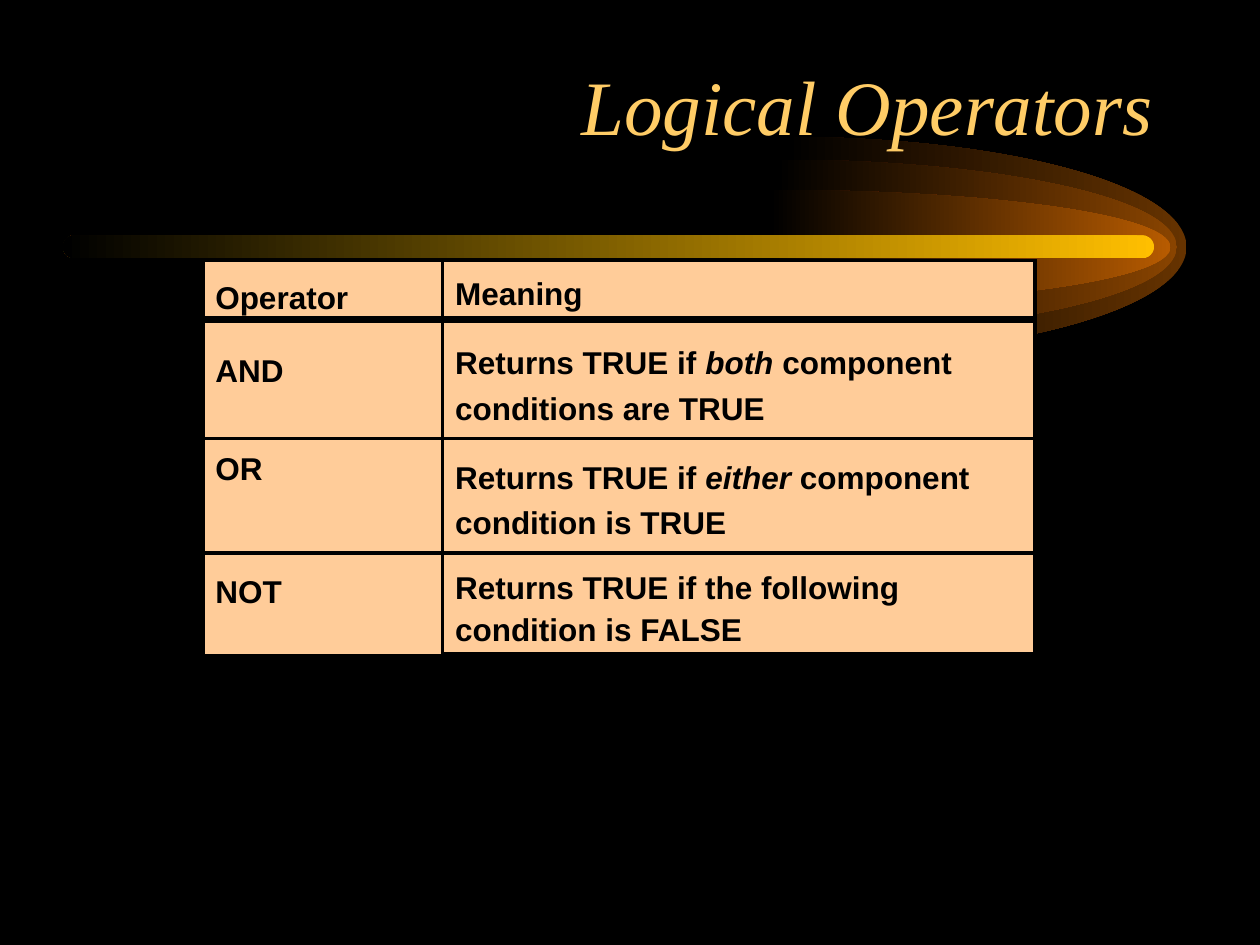
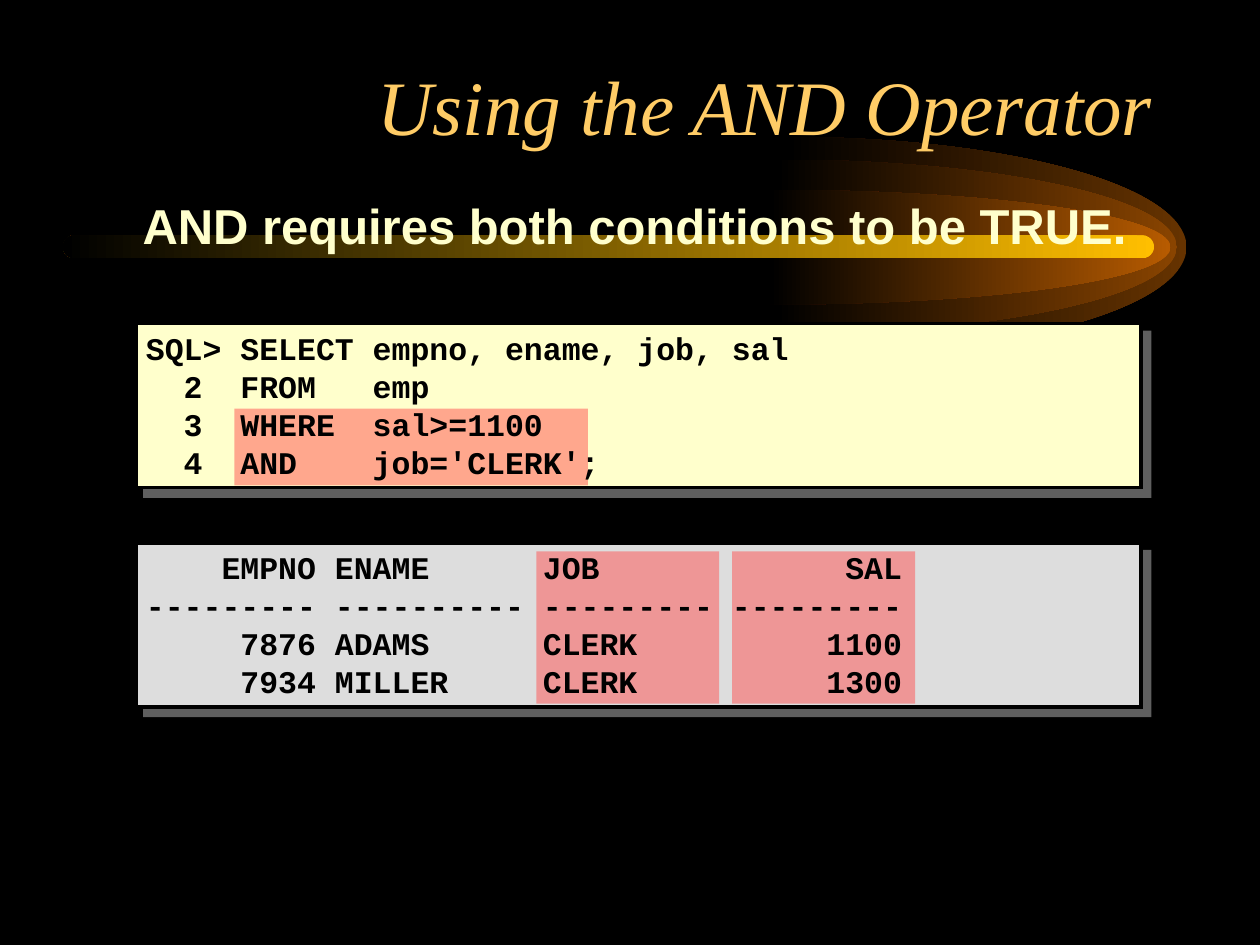
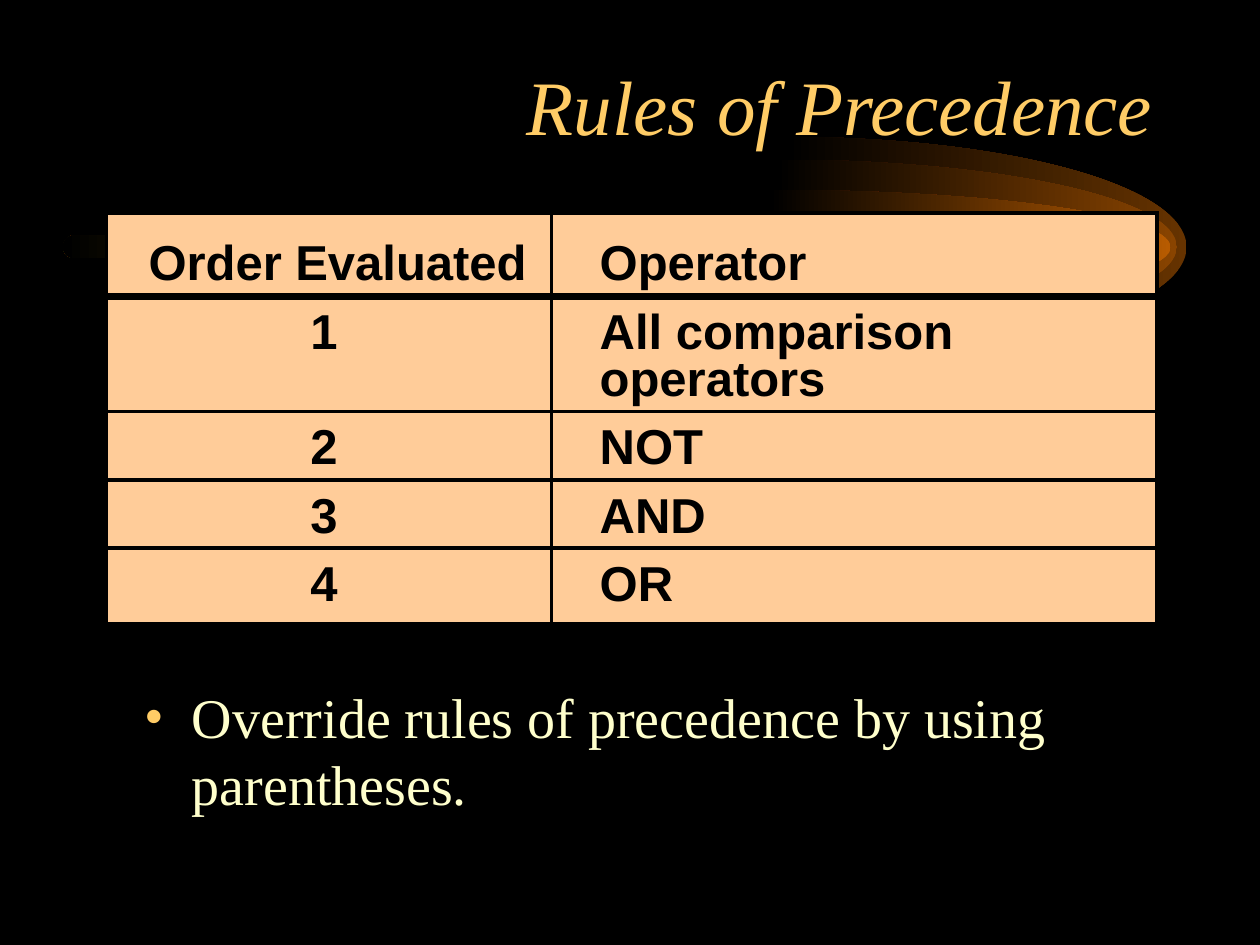
from lxml.etree import SubElement
from pptx import Presentation
from pptx.dml.color import RGBColor
from pptx.enum.shapes import MSO_CONNECTOR, MSO_SHAPE
from pptx.enum.text import MSO_ANCHOR, PP_ALIGN
from pptx.oxml.ns import qn
from pptx.util import Pt

BLACK, GOLD, CREAM, PEACH = "000000", "FFCC66", "FFFFCC", "FFCC99"
SERIF, SANS, MONO = "Times New Roman", "Arial", "Courier New"
GLOWS = [
    (449, 78.2, 229, 126, "663300"),
    (443.5, 91.2, 229, 99.8, "894400"),
    (440, 108.5, 229, 65.5, "B75B00"),
]
OPERATORS = "Operator\nAND\nOR\nNOT"
MEANINGS = """Meaning
Returns TRUE if *both *component conditions are TRUE
Returns TRUE if *either *component condition is TRUE
Returns TRUE if the following condition is FALSE"""
QUERY = """SQL> SELECT empno, ename, job, sal
  2  FROM   emp
  3  WHERE  sal>=1100
  4  AND    job='CLERK';"""
RESULT = """    EMPNO ENAME      JOB             SAL
--------- ---------- --------- ---------
     7876 ADAMS      CLERK          1100
     7934 MILLER     CLERK          1300"""
PRECEDENCE = """Order Evaluated\tOperator
\t1\tAll comparison|\t\toperators
\t2\tNOT
\t3\tAND
\t4\tOR"""


def rgb(value):
    return RGBColor.from_string(value)


def add_xml(parent, tag, **attrs):
    return SubElement(parent, qn(tag), {k: str(v) for k, v in attrs.items()})


def add_bullet(p, char, font, indent):
    pPr = p._p.get_or_add_pPr()
    pPr.set("marL", str(Pt(indent)))
    pPr.set("indent", str(-Pt(indent)))
    add_xml(add_xml(pPr, "a:buClr"), "a:srgbClr", val=GOLD)
    add_xml(pPr, "a:buFont", typeface=font)
    add_xml(pPr, "a:buChar", char=char)


def add_tabs(p, tabs):
    tab_list = add_xml(p._p.get_or_add_pPr(), "a:tabLst")
    for pos, align in tabs:
        add_xml(tab_list, "a:tab", pos=Pt(pos), algn=align)


def write(tf, text, size=18, font=SANS, color=BLACK, bold=False, italic=False,
          align=PP_ALIGN.LEFT, spacings=(1,), gaps=(0,), bullet=None, tabs=()):
    """One paragraph per line; | breaks a line, asterisks enclose italics.

    The last entry of spacings and gaps holds for all further paragraphs.
    """
    tf.word_wrap = True
    for i, line in enumerate(text.split("\n")):
        p = tf.paragraphs[0] if i == 0 else tf.add_paragraph()
        if bullet:
            add_bullet(p, bullet, font, 27)
        if tabs:
            add_tabs(p, tabs)
        p.alignment = align
        p.line_spacing = spacings[min(i, len(spacings) - 1)]
        p.space_before = Pt(gaps[min(i, len(gaps) - 1)])
        for k, row in enumerate(line.split("|")):
            if k:
                p.add_line_break()
            for j, part in enumerate(row.split("*")):
                r = p.add_run()
                r.text = part
                r.font.size, r.font.name = Pt(size), font
                r.font.bold, r.font.italic = bold, italic or j % 2 == 1
                r.font.color.rgb = rgb(color)


def add_text(s, box, text, anchor=MSO_ANCHOR.TOP, **style):
    tf = s.shapes.add_textbox(*map(Pt, box)).text_frame
    tf.vertical_anchor = anchor
    write(tf, text, **style)


def fade(sp, color):
    sp.shadow.inherit = False
    sp.line.fill.background()
    sp.fill.gradient()
    sp.fill.gradient_angle = 180
    for stop, value in zip(sp.fill.gradient_stops, (color, BLACK)):
        stop.color.rgb = rgb(value)


def add_glow(s, x, y, w, h, color):
    fb = s.shapes.build_freeform(Pt(x), Pt(y))
    fb.add_line_segments([(Pt(x + w), Pt(y + h / 2)), (Pt(x), Pt(y + h))], close=True)
    sp = fb.convert_to_shape()
    handles = [((0.55, 0), (1, 0.22)), ((1, 0.78), (0.55, 1))]
    for curve, pair in zip(list(sp._element.iter(qn("a:lnTo"))), handles):
        curve.tag = qn("a:cubicBezTo")
        end = curve[0]
        for dx, dy in pair:
            end.addprevious(add_xml(curve, "a:pt", x=Pt(w * dx), y=Pt(h * dy)))
    fade(sp, color)


def add_base(prs, title):
    s = prs.slides.add_slide(prs.slide_layouts[6])
    s.background.fill.solid()
    s.background.fill.fore_color.rgb = rgb(BLACK)
    for glow in GLOWS:
        add_glow(s, *glow)
    bar = s.shapes.add_shape(MSO_SHAPE.ROUNDED_RECTANGLE, Pt(36), Pt(134.5), Pt(623.5), Pt(13))
    bar.adjustments[0] = 0.5
    fade(bar, "FFBF00")
    add_text(s, (54, 30, 612, 90), title, size=44, font=SERIF, color=GOLD,
             italic=True, align=PP_ALIGN.RIGHT)
    return s


def add_rect(s, box, color, outlined=True):
    sp = s.shapes.add_shape(MSO_SHAPE.RECTANGLE, *map(Pt, box))
    sp.shadow.inherit = False
    sp.fill.solid()
    sp.fill.fore_color.rgb = rgb(color)
    if outlined:
        sp.line.color.rgb = rgb(BLACK)
        sp.line.width = Pt(2)
        add_xml(sp._element.spPr.find(qn("a:ln")), "a:miter", lim=800000)
    else:
        sp.line.fill.background()
    return sp


def add_column(s, box, text, **style):
    tf = add_rect(s, box, PEACH).text_frame
    tf.vertical_anchor = MSO_ANCHOR.TOP
    write(tf, text, bold=True, **style)


def add_line(s, x1, y1, x2, y2, width=2):
    line = s.shapes.add_connector(MSO_CONNECTOR.STRAIGHT, *map(Pt, (x1, y1, x2, y2)))
    line.line.color.rgb = rgb(BLACK)
    line.line.width = Pt(width)
    add_xml(line._element.spPr, "a:effectLst")


def set_alpha(parent, percent):
    add_xml(next(parent.iter(qn("a:srgbClr"))), "a:alpha", val=percent * 1000)


def add_panel(s, box, color, code, highlights):
    x, y, w, h = box
    panel = add_rect(s, box, color)
    effects = panel._element.spPr.find(qn("a:effectLst"))
    shadow = add_xml(effects, "a:outerShdw", blurRad=0, dist=Pt(7.1),
                     dir=45 * 60000, algn="ctr", rotWithShape=0)
    add_xml(shadow, "a:srgbClr", val="808080")
    set_alpha(shadow, 75)
    for dx, dy, width, height in highlights:
        mark = add_rect(s, (x + dx, y + dy, width, height), "FF5050", outlined=False)
        set_alpha(mark._element.spPr, 50)
    add_text(s, (x - 1.5, y - 1.7, w + 2, h + 2.4), code, anchor=MSO_ANCHOR.MIDDLE,
             font=MONO, bold=True)


def operators_slide(prs):
    s = add_base(prs, "Logical Operators")
    x, y = 116, 149
    add_column(s, (x, y, 138, 226), OPERATORS, spacings=(1.3,), gaps=(0, 13.5, 28, 42))
    add_column(s, (x + 137, y, 338.5, 224.6), MEANINGS,
               spacings=(1.2, 1.2, 1.2, 1.1), gaps=(0, 13.5))
    for dy, width in ((33.5, 4), (101.5, 2), (167, 2)):
        add_line(s, x, y + dy, x + 475.5, y + dy, width)


def and_slide(prs):
    s = add_base(prs, "Using the AND Operator")
    add_text(s, (74.4, 110.4, 590, 39), "AND requires both conditions to be TRUE.",
             size=28, color=CREAM, bold=True, spacings=(0.95,))
    add_panel(s, (77.8, 185, 574.2, 93.6), CREAM, QUERY, [(56.2, 48.5, 202, 44)])
    add_panel(s, (77.8, 310.3, 574.2, 93.6), "DDDDDD", RESULT,
              [(dx, 4.8, 104.5, 87) for dx in (228.7, 340.6)])


def precedence_slide(prs):
    s = add_base(prs, "Rules of Precedence")
    add_text(s, (75.6, 386.6, 582, 84), "Override rules of precedence by using parentheses.",
             size=32, font=SERIF, color=CREAM, bullet="•")
    x, y, w, h = 61, 121.8, 600.2, 234.6
    add_rect(s, (x, y, w, h), PEACH)
    for dy, width in ((47.5, 4), (113.4, 2), (152.4, 2), (191.4, 2)):
        add_line(s, x, y + dy, x + w, y + dy, width)
    add_line(s, x + 254.2, y, x + 254.2, y + h)
    add_text(s, (x + 16.8, y + 13.6, 610, 217.4), PRECEDENCE, size=28, bold=True,
             spacings=(0.8,), gaps=(0, 12.2), tabs=((108, "r"), (257.8, "l")))


def main():
    prs = Presentation()
    prs.slide_width, prs.slide_height = Pt(720), Pt(540)
    for build in (operators_slide, and_slide, precedence_slide):
        build(prs)
    prs.save("out.pptx")


if __name__ == "__main__":
    main()
